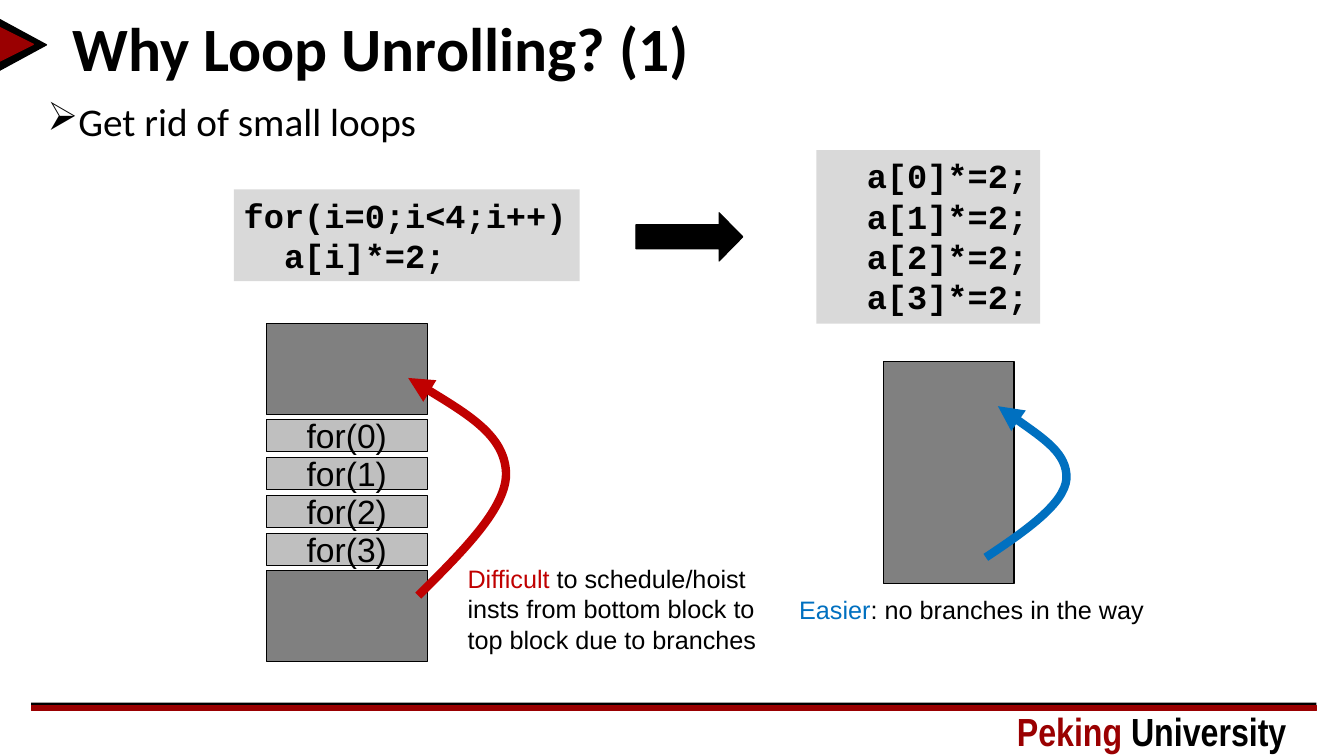
from dataclasses import dataclass

from lxml import etree
from pptx import Presentation
from pptx import util as u
from pptx.dml.color import RGBColor
from pptx.enum import shapes, text
from pptx.oxml.ns import qn

COLS, ROWS = 80, 45
KIND = shapes.MSO_SHAPE


@dataclass(frozen=True)
class Theme:
    black: str = "000000"
    brand: str = "9A0001"
    dark: str = "808080"
    mid: str = "BFBFBF"
    pale: str = "D9D9D9"
    red: str = "C00000"
    blue: str = "0070C0"
    head: int = 44
    body: int = 28
    code: int = 24
    note: int = 18
    sans: str = "Arial"
    slim: str = "Arial Narrow"
    main: str = "Calibri"
    mono: str = "Courier New"


T = Theme()


def write(frame, lines, size=T.code, font=T.sans, bold=False, align="LEFT",
          anchor="TOP", wrap=False, inset=None, bullet=None, space=None):
    """Fill a frame; a line is a string or a list of (string, colour) runs."""
    frame.word_wrap = wrap
    frame.auto_size = text.MSO_AUTO_SIZE.NONE
    frame.vertical_anchor = getattr(text.MSO_ANCHOR, anchor)
    if inset is not None:
        frame.margin_left = frame.margin_right = inset
        frame.margin_top = frame.margin_bottom = inset
    for i, line in enumerate(lines):
        para = frame.add_paragraph() if i else frame.paragraphs[0]
        para.alignment = getattr(text.PP_ALIGN, align)
        if space:
            para.line_spacing = space
        if bullet:
            props = para._p.get_or_add_pPr()
            hang = u.Inches(0.29)
            props.set("marL", str(hang))
            props.set("indent", str(-hang))
            etree.SubElement(props, qn("a:buChar")).set("char", bullet)
        runs = [(line, T.black)] if isinstance(line, str) else line
        for words, color in runs:
            run = para.add_run()
            run.text = words
            run.font.size, run.font.name = u.Pt(size), font
            run.font.bold = bold
            run.font.color.rgb = RGBColor.from_string(color)


class Deck:
    """Holds the show, its current slide and its grid."""

    def __init__(self):
        self.show = Presentation()
        self.show.slide_width = u.Inches(13.33)
        self.show.slide_height = u.Inches(7.5)
        self.slide = self.show.slides.add_slide(self.show.slide_layouts[5])
        self.items = self.slide.shapes

    def x(self, col):
        return round(self.show.slide_width * col / COLS)

    def y(self, row):
        return round(self.show.slide_height * row / ROWS)

    def area(self, col, row, wide, high):
        return self.x(col), self.y(row), self.x(wide), self.y(high)

    def title(self, box, words):
        item = self.items.title
        item.left, item.top, item.width, item.height = self.area(*box)
        write(item.text_frame, [words], size=T.head, font=T.main, bold=True,
              anchor="MIDDLE", wrap=True, space=0.9)

    def label(self, box, lines, **style):
        item = self.items.add_textbox(*self.area(*box))
        write(item.text_frame, lines, **style)

    def shape(self, box, fill, line=None, weight=0.75, kind=KIND.RECTANGLE,
              turn=0, lines=(), **style):
        item = self.items.add_shape(kind, *self.area(*box))
        item.shadow.inherit = False
        item.rotation = turn
        item.fill.solid()
        item.fill.fore_color.rgb = RGBColor.from_string(fill)
        if line:
            item.line.color.rgb = RGBColor.from_string(line)
            item.line.width = u.Pt(weight)
        else:
            item.line.fill.background()
        if lines:
            write(item.text_frame, lines, **style)
        return item

    def curve(self, knots, color):
        """Arrow along cubic curves: a start, then three knots per curve."""
        dots = [(self.x(c), self.y(r)) for c, r in knots]
        pen = self.items.build_freeform(*dots[0])
        pen.add_line_segments(dots[1:], close=False)
        item = pen.convert_to_shape()
        item.shadow.inherit = False
        item.fill.background()
        item.line.color.rgb = RGBColor.from_string(color)
        item.line.width = u.Pt(6)
        props = item.element.spPr
        legs = list(props.iter(qn("a:lnTo")))
        for i in range(0, len(legs), 3):
            bend = etree.Element(qn("a:cubicBezTo"))
            legs[i].addprevious(bend)
            for leg in legs[i:i + 3]:
                bend.append(leg[0])
                leg.getparent().remove(leg)
        tip = etree.SubElement(props.find(qn("a:ln")), qn("a:tailEnd"))
        tip.set("type", "triangle")


def main():
    deck = Deck()

    # Footer rule, corner mark and school name
    deck.shape((1.86, 41.82, 76.5, 0.18), T.black)
    deck.shape((1.86, 42, 76.5, 0.3), T.brand, T.brand, 1)
    for box, color in (((-0.18, 1.26, 3.06, 2.82), T.black),
                       ((-0.06, 1.62, 2.04, 2.04), T.brand)):
        deck.shape(box, color, color, 1, KIND.ISOSCELES_TRIANGLE, turn=90)
    deck.label((59.94, 41.82, 18.96, 3.42),
               [[("Peking ", T.brand), ("University", T.black)]],
               size=T.body, font=T.slim, bold=True, wrap=True)

    # Title and main point
    deck.title((3.72, 0.9, 74.46, 4.38), "Why Loop Unrolling? (1)")
    deck.label((2.82, 5.82, 54.24, 2.82), ["Get rid of small loops"],
               size=T.body, font=T.main, wrap=True, inset=0, bullet="➢")

    # Code before and after
    arrow = deck.shape((37.86, 12.66, 6.36, 2.88), T.black, T.black,
                       kind=KIND.RIGHT_ARROW)
    arrow.adjustments[1] = 0.49
    loop = ["for(i=0;i<4;i++)", "  a[i]*=2;"]
    flat = [f"  a[{i}]*=2;" for i in range(4)]
    for box, code in (((13.92, 11.28, 20.58, 5.46), loop),
                      ((48.6, 8.94, 13.32, 10.32), flat)):
        deck.shape(box, T.pale, lines=code, font=T.mono, bold=True)

    # Unrolled: one block
    deck.shape((52.56, 21.54, 7.8, 13.2), T.dark, T.black)
    deck.curve([(58.68, 33.18), (61.02, 31.62), (63.36, 30), (63.48, 28.5),
                (63.54, 27), (61.44, 25.62), (59.4, 24.18)], T.blue)
    deck.label((46.98, 35.1, 21.72, 2.4),
               [[("Easier", T.blue), (": no branches in the way", T.black)]],
               size=T.note)

    # Rolled: two blocks with the loop passes between
    left, wide = 15.84, 9.6
    for top in (19.26, 33.96):
        deck.shape((left, top, wide, 5.4), T.dark, T.black)
    for i in range(4):
        deck.shape((left, 24.96 + 2.26 * i, wide, 1.92), T.mid, T.black,
                   lines=[f"for({i})"], align="CENTER", anchor="MIDDLE")
    deck.label((27.24, 33.24, 18.36, 6),
               [[("Difficult", T.red), (" to schedule/hoist", T.black)],
                "insts from bottom block to", "top block due to branches"],
               size=T.note)
    deck.curve([(24.9, 35.46), (27.54, 32.82), (30.24, 30.18), (30.12, 28.08),
                (30, 25.92), (27.12, 24.18), (24.3, 22.5)], T.red)

    deck.show.save("out.pptx")


if __name__ == "__main__":
    main()
